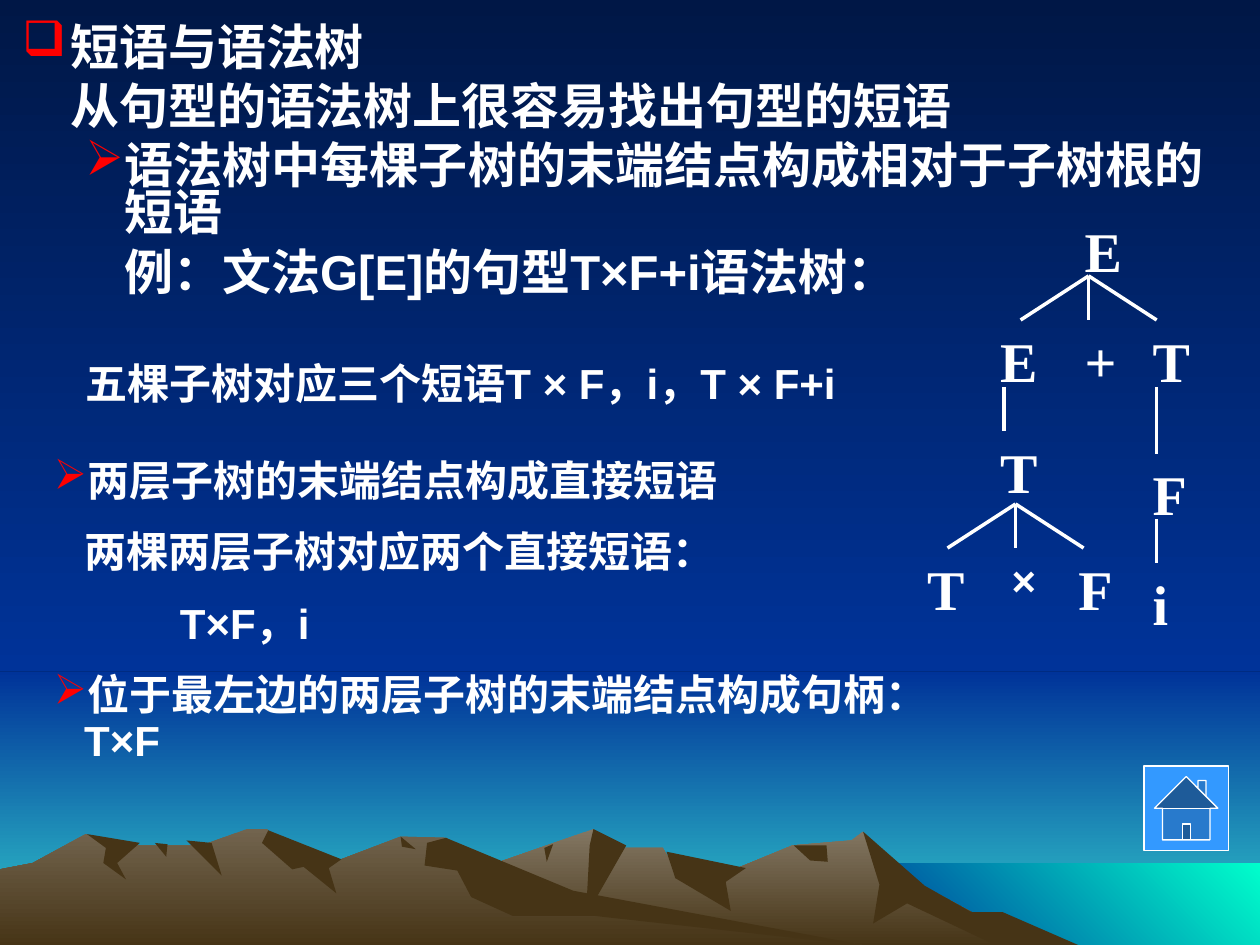
from dataclasses import dataclass

from lxml import etree
from pptx import Presentation
from pptx.dml.color import RGBColor
from pptx.enum.lang import MSO_LANGUAGE_ID
from pptx.enum.shapes import MSO_CONNECTOR, MSO_SHAPE
from pptx.enum.text import PP_ALIGN
from pptx.oxml.ns import qn
from pptx.util import Inches, Pt

RECTANGLE = MSO_SHAPE.RECTANGLE
HOME_BUTTON = MSO_SHAPE.ACTION_BUTTON_HOME
STRAIGHT = MSO_CONNECTOR.STRAIGHT
JUSTIFY, LEFT = PP_ALIGN.JUSTIFY, PP_ALIGN.LEFT
CHINESE = MSO_LANGUAGE_ID.SIMPLIFIED_CHINESE

WHITE = RGBColor.from_string("FFFFFF")
RED = RGBColor.from_string("FF0000")
NIGHT = RGBColor.from_string("001746")
BLUE = RGBColor.from_string("003399")
TEAL = RGBColor.from_string("33CCCC")
AQUA = RGBColor.from_string("00FFCC")
SAND = RGBColor.from_string("837763")
STONE = RGBColor.from_string("72644E")
EARTH = RGBColor.from_string("463416")
BUTTON = RGBColor.from_string("3399FF")

SERIF, SANS = "Times New Roman", "Arial"
HUNDREDTH = Inches(0.01)


@dataclass
class Run:
    text: str
    font: str = SERIF


@dataclass
class Line:
    """A paragraph; a hanging part starts on a new line under the text."""
    runs: list[Run]
    left: float = 0
    indent: float = 0
    bullet: str = ""
    align: PP_ALIGN = LEFT
    hanging: Run | None = None


@dataclass
class Branch:
    x: float
    y: float
    spread: tuple[float, ...] = (0,)
    drop: float = 0.35


@dataclass
class Ridge:
    """Outline in hundredths of an inch, lit from the top if a light is given."""
    points: list[tuple[int, int]]
    light: RGBColor | None = None


RIDGES = [
    Ridge([(821, 751), (723, 698), (685, 660), (676, 667), (629, 671), (566, 697), (536, 690), (526, 673),
           (486, 673), (471, 658), (394, 685), (258, 751)], SAND),
    Ridge([(796, 724), (771, 724), (734, 703), (685, 660), (698, 702), (693, 733), (720, 717), (792, 751),
           (858, 751)]),
    Ridge([(471, 658), (468, 671), (465, 727), (497, 671)]),
    Ridge([(529, 676), (536, 697), (580, 723), (576, 700), (592, 689)]),
    Ridge([(656, 671), (630, 671), (643, 683), (657, 684)]),
    Ridge([(432, 673), (439, 670), (434, 684)]),
    Ridge([(690, 751), (432, 712), (354, 665), (318, 664), (271, 682), (236, 681), (212, 658), (196, 658),
           (160, 671), (94, 671), (68, 662), (26, 685), (0, 690), (0, 751)], STONE),
    Ridge([(213, 659), (208, 669), (232, 690), (241, 688), (267, 709), (261, 689), (271, 682)]),
    Ridge([(354, 665), (339, 669), (337, 687), (363, 691), (374, 712), (407, 727), (472, 727), (690, 751),
           (455, 707)]),
    Ridge([(318, 664), (330, 674), (319, 672)]),
    Ridge([(148, 667), (168, 669), (176, 695)]),
    Ridge([(123, 669), (133, 670), (132, 680)]),
    Ridge([(69, 662), (111, 669), (93, 685), (100, 698), (82, 685), (84, 673)]),
]

TREE_ROWS = {
    1.67: {8.51: "E"},
    2.54: {7.84: "E", 8.51: "+", 9.05: "T"},
    3.42: {7.84: "T"},
    3.6: {9.05: "F"},
    4.35: {7.26: "T", 7.93: "×", 8.46: "F"},
    4.47: {9.05: "i"},
}
FORK = (-0.54, 0, 0.54)
BRANCHES = [
    Branch(8.64, 2.19, FORK), Branch(7.97, 3.07), Branch(9.18, 3.07, drop=0.53),
    Branch(8.06, 4, FORK), Branch(9.18, 4.12),
]

HEADING = [
    Line([Run("短语与语法树")], 0.38, -0.38, "❑"),
    Line([Run("从句型的语法树上很容易找出句型的短语")], 0.38, align=JUSTIFY),
    Line([Run("语法树中每棵子树的末端结点构成相对于子树根的短语")], 0.81, -0.31, "➢", JUSTIFY),
    Line([Run("例：文法"), Run("G[E]", SANS), Run("的句型"), Run("T×F+i", SANS), Run("语法树：")],
         0.81, align=JUSTIFY),
]
PHRASES = [Line([Run("五棵子树对应三个短语"), Run("T × F", SANS), Run("，"), Run("i", SANS), Run("，"),
                 Run("T × F+i", SANS)])]
HANDLE = [
    Line([Run("两层子树的末端结点构成直接短语")], 0.24, -0.24, "➢"),
    Line([Run("两棵两层子树对应两个直接短语：")], 0.24),
    Line([Run("T×F", SANS), Run("，"), Run("i", SANS)], 1),
    Line([Run("位于最左边的两层子树的末端结点构成句柄：")], 0.24, -0.24, "➢", hanging=Run("T×F", SANS)),
]


def shade(fill, start: RGBColor, end: RGBColor, angle: int = 270) -> None:
    """Two-colour gradient; the angle runs counter-clockwise, 270 is downwards."""
    fill.gradient()
    fill.gradient_angle = angle
    for stop, color in zip(fill.gradient_stops, (start, end)):
        stop.color.rgb = color


def add_panel(shapes, x: float, y: float, w: float, h: float, start: RGBColor, end: RGBColor,
              angle: int = 270) -> None:
    sp = shapes.add_shape(RECTANGLE, Inches(x), Inches(y), Inches(w), Inches(h))
    sp.shadow.inherit = False
    sp.line.fill.background()
    shade(sp.fill, start, end, angle)


def add_ridge(shapes, ridge: Ridge) -> None:
    builder = shapes.build_freeform(*ridge.points[0], scale=HUNDREDTH)
    builder.add_line_segments(ridge.points[1:], close=True)
    sp = builder.convert_to_shape()
    sp.shadow.inherit = False
    sp.line.fill.background()
    if ridge.light:
        shade(sp.fill, ridge.light, EARTH)
    else:
        sp.fill.solid()
        sp.fill.fore_color.rgb = EARTH


def add_run(p, run: Run, size: int) -> None:
    r = p.add_run()
    r.text = run.text
    r.font.name, r.font.size, r.font.bold = run.font, Pt(size), True
    r.font.color.rgb = WHITE
    r.font.language_id = CHINESE


def add_text(shapes, x: float, y: float, w: float, h: float, lines: list[Line], size: int,
             spacing: float = 1, before: int = 0) -> None:
    tf = shapes.add_textbox(Inches(x), Inches(y), Inches(w), Inches(h)).text_frame
    tf.word_wrap = True
    for i, line in enumerate(lines):
        p = tf.add_paragraph() if i else tf.paragraphs[0]
        p.alignment, p.line_spacing = line.align, spacing
        p.space_before = Pt(before if i else 0)
        pPr = p._p.get_or_add_pPr()
        pPr.set("marL", str(Inches(line.left)))
        pPr.set("indent", str(Inches(line.indent)))
        if line.bullet:
            color = etree.SubElement(pPr, qn("a:buClr"))
            etree.SubElement(color, qn("a:srgbClr"), val=str(RED))
            etree.SubElement(pPr, qn("a:buChar"), char=line.bullet)
        for run in line.runs:
            add_run(p, run, size)
        if line.hanging:
            p.add_line_break()
            add_run(p, line.hanging, size)


def add_node(shapes, x: float, y: float, symbol: str) -> None:
    font, size = (SANS, 24) if symbol == "×" else (SERIF, 32)
    add_text(shapes, x, y, 0.54, 0.53, [Line([Run(symbol, font)])], size)


def add_branch(shapes, branch: Branch) -> None:
    for dx in branch.spread:
        line = shapes.add_connector(STRAIGHT, Inches(branch.x), Inches(branch.y),
                                    Inches(branch.x + dx), Inches(branch.y + branch.drop))
        line.line.color.rgb, line.line.width = WHITE, Pt(2)
        etree.SubElement(line._element.spPr, qn("a:effectLst"))


def add_home_button(shapes) -> None:
    sp = shapes.add_shape(HOME_BUTTON, Inches(9.08), Inches(6.08), Inches(0.67), Inches(0.67))
    sp.shadow.inherit = False
    sp.fill.solid()
    sp.fill.fore_color.rgb = BUTTON
    sp.line.color.rgb, sp.line.width = WHITE, Pt(0.75)


def main() -> None:
    prs = Presentation()
    prs.slide_width, prs.slide_height = Inches(10), Inches(7.5)
    s = prs.slides.add_slide(prs.slide_layouts[6])
    shade(s.background.fill, NIGHT, BLUE)
    add_panel(s.shapes, 0, 5.33, 10, 2.17, BLUE, TEAL)
    add_panel(s.shapes, 0, 0, 10, 5.33, NIGHT, BLUE)
    add_panel(s.shapes, 6.83, 6.85, 3.17, 0.67, AQUA, BLUE, angle=225)
    for ridge in RIDGES:
        add_ridge(s.shapes, ridge)
    add_text(s.shapes, 0.08, 0.17, 9.58, 2.33, HEADING, 28, 0.8, 7)
    for y, row in TREE_ROWS.items():
        for x, symbol in row.items():
            add_node(s.shapes, x, y, symbol)
    for branch in BRANCHES:
        add_branch(s.shapes, branch)
    add_home_button(s.shapes)
    add_text(s.shapes, 0.58, 2.83, 6.75, 0.46, PHRASES, 24, 0.9)
    add_text(s.shapes, 0.33, 3.6, 8.58, 2.53, HANDLE, 24, 0.9, 15)
    prs.save("out.pptx")


if __name__ == "__main__":
    main()
